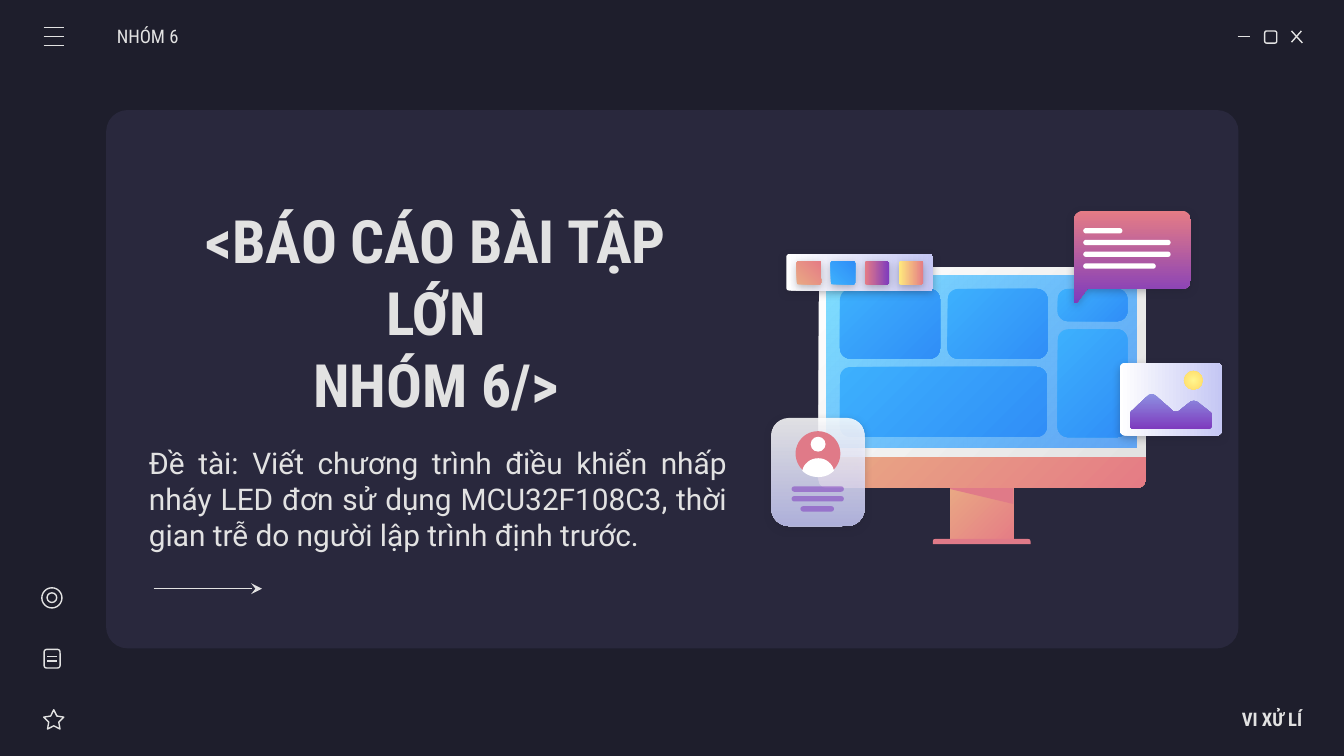
"""Builds the cover slide of a group report on a microcontroller project."""
from lxml import etree
from pptx import Presentation
from pptx.dml.color import RGBColor
from pptx.enum.shapes import MSO_CONNECTOR, MSO_SHAPE
from pptx.enum.text import MSO_ANCHOR, PP_ALIGN
from pptx.oxml.ns import qn
from pptx.util import Pt

RECT, ROUND, OVAL = MSO_SHAPE.RECTANGLE, MSO_SHAPE.ROUNDED_RECTANGLE, MSO_SHAPE.OVAL
TOP, STAR = MSO_SHAPE.ROUND_2_SAME_RECTANGLE, MSO_SHAPE.STAR_5_POINT
STRAIGHT, MIDDLE = MSO_CONNECTOR.STRAIGHT, MSO_ANCHOR.MIDDLE
LEFT, MID, RIGHT, JUST = PP_ALIGN.LEFT, PP_ALIGN.CENTER, PP_ALIGN.RIGHT, PP_ALIGN.JUSTIFY

INK, NIGHT, PANEL, WHITE, ROSE = "E2E2E2", "1E1E2C", "29283D", "FFFFFF", "E07A88"
PEACH = ("E9A984", "E57C85", 45)
BLUE = ("3DB0FD", "308EF7", 45)
DUSK = ("E57C85", "7E3BBE", 90)
GOLD = ("FFEA7D", "E57C85", 90)
MIST = (WHITE, "C5C7F4", 90)
GLASS = ("FFFFFF86", "C5C7F486", 90)
SCREEN = ("80DFFF", "318FFA72", 45)
FRAME = (WHITE, INK, 45)
HILL = ("8D90E1", "7E3BBE", 90)
SUN = ("FFF68E", "FFD966", None)
VIOLET = "7E3BBE54"

TEXTS = [
    (["NHÓM 6"], (62.6, 8.6, 84.2, 21.6), (0, 7.2), LEFT, 10, "Roboto Condensed", False),
    (["<BÁO CÁO BÀI TẬP LỚN", "NHÓM 6/>"], (72.7, 103.7, 321.8, 126.7), (8, 8), MID, 32,
     "Roboto Condensed", True),
    (["VI XỬ LÍ"], (613.4, 374.4, 84.2, 21.6), (7.2, 0), RIGHT, 10, "Roboto Condensed", True),
    (["Đề tài: Viết chương trình điều khiển nhấp nháy LED đơn sử dụng MCU32F108C3, "
      "thời gian trễ do người lập trình định trước."], (72.7, 219.6, 324, 95), (7.2, 7.2),
     JUST, 16, "Roboto", False),
]
TILES = [(450, 154.8, 53.6, 37.4), (450, 196.6, 110.9, 37.4), (507.6, 154.8, 53.6, 37.4),
         (566.6, 154.8, 37.4, 17.3), (566.6, 176.4, 37.4, 57.8)]
CHAT = [21, 46.8, 46.8, 38.9]
BIO = [(424.1, 260.6, 28), (424.1, 265.8, 28), (428.8, 271.2, 18)]
SWATCHES = [PEACH, BLUE, DUSK, GOLD]
LINES = [(663.1, 19.4, 669.6, 19.4), (691.9, 16.6, 697.7, 23), (697.2, 16.6, 691.9, 22.6),
         (23.4, 14.8, 34.2, 14.8), (23.4, 19.6, 34.2, 19.6), (23.4, 24.4, 34.2, 24.4),
         (25.2, 351.6, 30.4, 351.6), (25.2, 354.2, 30.4, 354.2)]
ICONS = [(ROUND, (677.5, 16.6, 6.5, 6.5), 1.1), (ROUND, (23.6, 347.9, 8.6, 10), 1.4),
         (OVAL, (22.4, 314.9, 10.8, 10.8), None), (OVAL, (25.2, 317.6, 5.2, 5.2), None)]

BUBBLE = [(580.3, 113), (577.5, 113, 575.3, 115.2, 575.3, 118), (575.3, 161.3),
          (575.3, 162.3, 576.6, 162.6, 577.3, 161.8), (582.5, 154.8), (633.4, 154.8),
          (636, 154.8, 638, 152.8, 638, 150), (638, 118), (638, 115.2, 635.8, 113, 633.4, 113)]
TORSO = [(438.4, 245.5), (434.2, 245.5, 430.7, 248.3, 429.8, 252.2),
         (432, 254.4, 435, 255.6, 438.4, 255.6), (441.8, 255.6, 444.6, 254.4, 446.8, 252.2),
         (446, 248.3, 442.5, 245.5, 438.4, 245.5)]
HILLS = [(617, 211), (616.2, 211, 615.5, 211.3, 615, 211.8), (606.3, 220.2),
         (605.7, 220.7, 605.4, 221.4, 605.4, 222.1), (605.4, 227.7),
         (605.4, 228.9, 606.4, 229.8, 607.5, 229.8), (647, 229.8),
         (648.2, 229.8, 649.2, 228.9, 649.2, 227.7), (649.2, 222.5),
         (649.2, 221.8, 648.9, 221.2, 648.4, 220.8), (641.6, 215.4),
         (641, 215, 640.2, 214.8, 639.5, 214.8), (638.7, 214.8, 638, 215, 637.4, 215.5),
         (632, 219.9), (631.4, 220.4, 630.7, 220.6, 630, 220.6),
         (629.2, 220.6, 628.4, 220.3, 627.9, 219.8), (619.1, 211.9),
         (618.5, 211.3, 617.8, 211, 617, 211)]
SHADE = [(509, 260), (509, 262), (542.9, 270), (542.9, 260)]

deck = Presentation()
deck.slide_width, deck.slide_height = Pt(720), Pt(405)
slide = deck.slides.add_slide(deck.slide_layouts[6])
shapes = slide.shapes


def hue(code):
    return RGBColor.from_string(code[:6])


def node(parent, tag, **attrs):
    return etree.SubElement(parent, qn(tag), {k: str(v) for k, v in attrs.items()})


def paint(item, fill, glow=False):
    props = item._element.spPr
    codes = [fill] if isinstance(fill, str) else (fill or ())[:2]
    if not codes:
        item.fill.background()
    elif len(codes) == 1:
        item.fill.solid()
        item.fill.fore_color.rgb = hue(fill)
    else:
        item.fill.gradient()
        for stop, code in zip(item.fill.gradient_stops, codes):
            stop.color.rgb = hue(code)
        if fill[2] is None:
            grad = props.find(qn("a:gradFill"))
            grad.remove(grad.find(qn("a:lin")))
            ring = node(grad, "a:path", path="circle")
            node(ring, "a:fillToRect", l=50000, t=50000, r=50000, b=50000)
        else:
            item.fill.gradient_angle = (360 - fill[2]) % 360
    for mark, code in zip(props.iter(qn("a:srgbClr")), codes):
        if code[6:]:
            node(mark, "a:alpha", val=int(code[6:]) * 1000)
    item.line.fill.background()
    item.shadow.inherit = False
    if glow:
        cast = node(props.find(qn("a:effectLst")), "a:outerShdw", blurRad=Pt(4.5),
                    dist=Pt(1.5), dir=5400000, algn="bl", rotWithShape=0)
        node(node(cast, "a:srgbClr", val=NIGHT), "a:alpha", val=30000)


def block(kind, box, fill=None, curve=None, glow=False, turn=0, low=False):
    item = shapes.add_shape(kind, *map(Pt, box))
    if curve is not None:
        item.adjustments[0] = 0 if low else curve / min(box[2:])
        if low:
            item.adjustments[1] = curve / min(box[2:])
    item.rotation = turn
    paint(item, fill, glow)
    return item


def sketch(steps, fill, glow=False):
    spots = []
    for step in steps:
        if len(step) == 2:
            spots.append(step)
            continue
        ends = [spots[-1], step[:2], step[2:4], step[4:]]
        for t in (n / 8 for n in range(1, 9)):
            mix = ((1 - t) ** 3, 3 * t * (1 - t) ** 2, 3 * t * t * (1 - t), t ** 3)
            spots.append(tuple(sum(m * e[i] for m, e in zip(mix, ends)) for i in (0, 1)))
    spots = [(Pt(x), Pt(y)) for x, y in spots]
    pen = shapes.build_freeform(*spots[0])
    pen.add_line_segments(spots[1:], close=True)
    paint(pen.convert_to_shape(), fill, glow)


def ink(item):
    item.line.color.rgb = hue(INK)
    item.line.width = Pt(0.75)


def rule(ends):
    item = shapes.add_connector(STRAIGHT, *map(Pt, ends))
    ink(item)
    node(item._element.spPr, "a:effectLst")
    return item


def write(rows, box, sides, align, size, face, bold):
    frame = shapes.add_textbox(*map(Pt, box)).text_frame
    frame.word_wrap, frame.vertical_anchor = True, MIDDLE
    frame.margin_left, frame.margin_right = map(Pt, sides)
    frame.margin_top = frame.margin_bottom = Pt(7.2)
    para = frame.paragraphs[0]
    para.alignment = align
    for n, row in enumerate(rows):
        if n:
            para.add_line_break()
        run = para.add_run()
        run.text = row
        run.font.size, run.font.name, run.font.bold = Pt(size), face, bold
        run.font.color.rgb = hue(INK)


slide.background.fill.solid()
slide.background.fill.fore_color.rgb = hue(NIGHT)
block(ROUND, (56.9, 59, 606.6, 288.4), PANEL, 11.5)

block(RECT, (509, 260, 33.9, 31), PEACH)
block(TOP, (499.7, 288.7, 52.4, 2.9), ROSE, 1.4)
sketch(SHADE, ROSE)
block(TOP, (438.5, 244, 175.2, 17.4), PEACH, 4.3, low=True)
block(TOP, (438.5, 143.3, 175.2, 101.5), FRAME, 4.3)
block(RECT, (442.8, 147.6, 166, 92.2), SCREEN)
for tile in TILES:
    block(ROUND, tile, BLUE, 5.6)

sketch(BUBBLE, DUSK, True)
for n, wide in enumerate(CHAT):
    block(ROUND, (580.3, 122.2 + 6.3 * n, wide, 2.9), WHITE, 1.45)

block(ROUND, (413.3, 223.9, 49.9, 57.9), GLASS, 9.3, True)
block(OVAL, (426.2, 231, 24, 24), ROSE)
block(OVAL, (434.3, 234, 8, 8), WHITE)
sketch(TORSO, WHITE)
for x, y, wide in BIO:
    block(ROUND, (x, y, wide, 2.9), VIOLET, 1.45)

block(ROUND, (607.7, 186.5, 39, 54.7), MIST, 2.8, True, 270)
sketch(HILLS, HILL)
block(OVAL, (634.3, 198.7, 10.1, 10.1), SUN)
block(ROUND, (450.7, 106.6, 19.6, 78.5), MIST, 1.4, True, 270)
for n, tint in enumerate(SWATCHES):
    block(ROUND, (427.1 + 18.25 * n, 139.7, 12.4, 13), tint, 0.9, True, 270)

for kind, box, curve in ICONS:
    ink(block(kind, box, curve=curve))
star = block(STAR, (23.4, 380.2, 10.8, 10.4))
star.adjustments[0] = 0.25
ink(star)
for ends in LINES:
    rule(ends)
arrow = rule((82.3, 315.4, 140.4, 315.4))
node(arrow.line._get_or_add_ln(), "a:tailEnd", type="stealth")
for text in TEXTS:
    write(*text)
deck.save("out.pptx")
